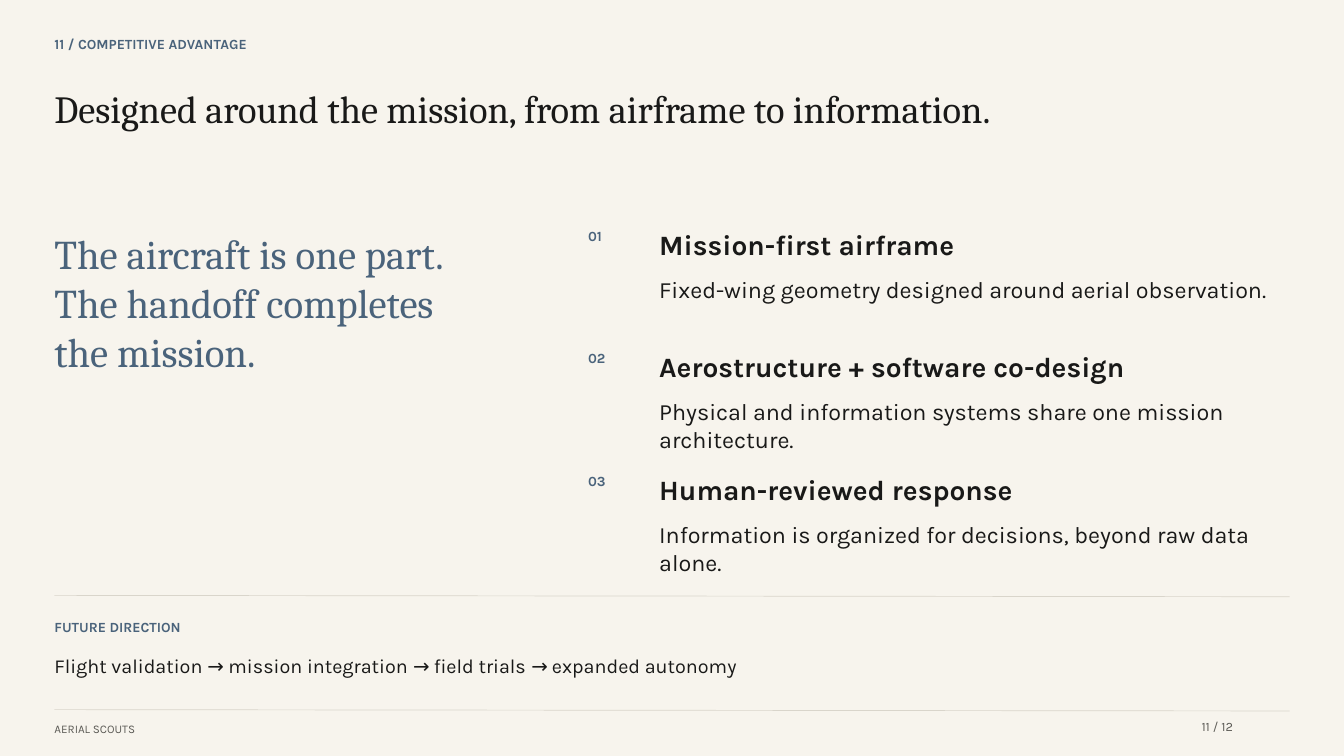
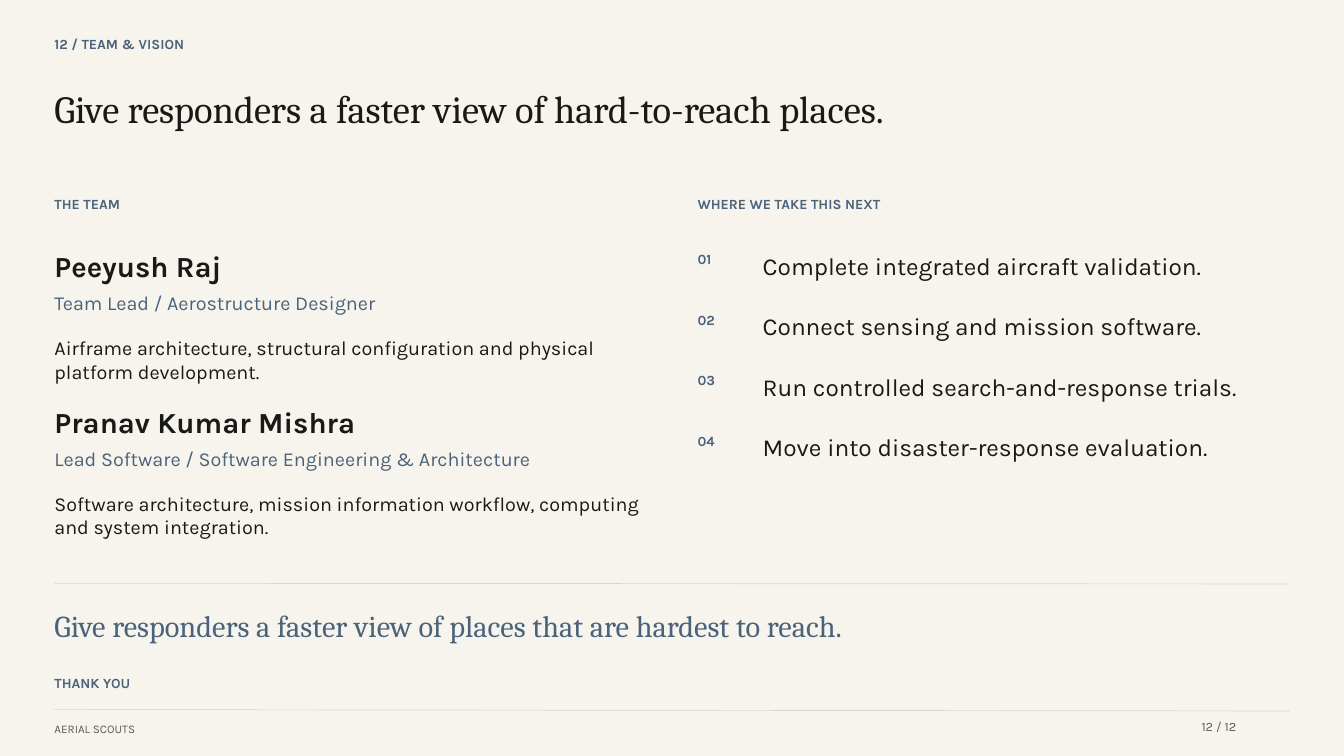
"""Build the competitive advantage and team slides."""
from dataclasses import dataclass

from lxml.etree import SubElement
from pptx import Presentation
from pptx.dml.color import RGBColor as Color
from pptx.enum.shapes import MSO_CONNECTOR as Connector
from pptx.enum.text import MSO_AUTO_SIZE as AutoSize
from pptx.oxml.ns import qn
from pptx.util import Inches, Pt


@dataclass(frozen=True)
class Style:
    size: float
    leading: float
    color: str
    font: str = "Karla"
    bold: bool = False


class Theme:
    paper, ink, blue, gray, rule = "F7F4ED", "191918", "4A637B", "5B5A55", "D9D5CB"
    serif = "Cambria"
    label = Style(15, 18, blue, bold=True)
    title = Style(41.2, 49.5, ink, serif)
    quote = Style(43.7, 52.5, blue, serif)
    closing = Style(32.5, 39, blue, serif)
    heading = Style(30, 36, ink, bold=True)
    detail = Style(25, 30, ink)
    name = Style(31.2, 37.5, ink, bold=True)
    role = Style(21.2, 25.5, blue)
    body = Style(21.2, 25.5, ink)
    step = Style(26.2, 31.5, ink)
    footer = Style(12.5, 15, gray)
    page = Style(13.7, 16.5, gray)


LEFT, RIGHT = 0.81, 19.19
FULL = RIGHT - LEFT
LABEL_HEIGHT = 0.44
PAGE_COUNT = 12
FOOTER = "AERIAL SCOUTS"

QUOTE = ["The aircraft is one part.", "The handoff completes", "the mission."]
ADVANTAGES = [
    ("Mission-first airframe",
     "Fixed-wing geometry designed around aerial observation."),
    ("Aerostructure + software co-design",
     "Physical and information systems share one mission architecture."),
    ("Human-reviewed response",
     "Information is organized for decisions, beyond raw data alone."),
]
FUTURE = "Flight validation → mission integration → field trials → expanded autonomy"
TEAM = [
    ("Peeyush Raj", "Team Lead / Aerostructure Designer",
     "Airframe architecture, structural configuration and physical platform development."),
    ("Pranav Kumar Mishra", "Lead Software / Software Engineering & Architecture",
     "Software architecture, mission information workflow, computing and system integration."),
]
NEXT_STEPS = [
    "Complete integrated aircraft validation.",
    "Connect sensing and mission software.",
    "Run controlled search-and-response trials.",
    "Move into disaster-response evaluation.",
]
CLOSING = "Give responders a faster view of places that are hardest to reach."


def add_text(page, lines, left, top, width, height, style):
    box = page.shapes.add_textbox(Inches(left), Inches(top), Inches(width), Inches(height))
    frame = box.text_frame
    frame.word_wrap = True
    frame.auto_size = AutoSize.SHAPE_TO_FIT_TEXT
    frame.margin_left = frame.margin_top = frame.margin_right = frame.margin_bottom = 0
    for index, line in enumerate([lines] if isinstance(lines, str) else lines):
        para = frame.add_paragraph() if index else frame.paragraphs[0]
        para.line_spacing = Pt(style.leading)
        span = para.add_run()
        span.text = line
        span.font.name = style.font
        span.font.size = Pt(style.size)
        span.font.bold = style.bold
        span.font.color.rgb = Color.from_string(style.color)


def add_label(page, words, top, left=LEFT, width=17.5):
    add_text(page, words, left, top, width, LABEL_HEIGHT, Theme.label)


def add_rule(page, top, drop=0.02):
    rule = page.shapes.add_connector(
        Connector.STRAIGHT, Inches(LEFT), Inches(top), Inches(RIGHT), Inches(top + drop))
    rule.line.color.rgb = Color.from_string(Theme.rule)
    rule.line.width = Pt(0.75)
    SubElement(rule._element.spPr, qn("a:effectLst"))


def add_page(deck, number, section, title):
    page = deck.slides.add_slide(deck.slide_layouts[6])
    page.background.fill.solid()
    page.background.fill.fore_color.rgb = Color.from_string(Theme.paper)
    add_label(page, f"{number} / {section}", 0.53)
    add_text(page, title, LEFT, 1.26, FULL, 1.34, Theme.title)
    add_rule(page, 10.56)
    add_text(page, FOOTER, LEFT, 10.74, 15, 0.26, Theme.footer)
    add_text(page, f"{number} / {PAGE_COUNT}", 17.88, 10.7, 1.31, 0.32, Theme.page)
    return page


def add_advantage_page(deck):
    page = add_page(deck, 11, "COMPETITIVE ADVANTAGE",
                    "Designed around the mission, from airframe to information.")
    add_text(page, QUOTE, LEFT, 3.41, 7.5, 3.89, Theme.quote)
    for index, (heading, detail) in enumerate(ADVANTAGES):
        top = 3.38 + index * 7.3 / 4
        add_label(page, f"{index + 1:02}", top, 8.75, 0.88)
        add_text(page, heading, 9.81, top, 9.38, 0.76, Theme.heading)
        add_text(page, detail, 9.81, top + 0.71, 9.38, 0.9, Theme.detail)
    add_rule(page, 8.86)
    add_label(page, "FUTURE DIRECTION", 9.2)
    add_text(page, FUTURE, LEFT, 9.73, FULL, 0.41, Theme.body)


def add_team_page(deck):
    page = add_page(deck, 12, "TEAM & VISION",
                    "Give responders a faster view of hard-to-reach places.")
    add_label(page, "THE TEAM", 2.91, width=8.88)
    for index, (name, role, work) in enumerate(TEAM):
        top = 3.7 + index * 2.31
        add_text(page, name, LEFT, top, 8.75, 0.5, Theme.name)
        add_text(page, role, LEFT, top + 0.63, 8.75, 0.7, Theme.role)
        add_text(page, work, LEFT, top + 1.3, 8.75, 0.72, Theme.body)
    add_label(page, "WHERE WE TAKE THIS NEXT", 2.91, 10.38, 8.75)
    for index, step in enumerate(NEXT_STEPS):
        top = 3.73 + index * 0.9
        add_label(page, f"{index + 1:02}", top, 10.38, 0.75)
        add_text(page, step, 11.35, top, 7.81, 0.7, Theme.step)
    add_rule(page, 8.68, 0.01)
    add_text(page, CLOSING, LEFT, 9.04, FULL, 0.82, Theme.closing)
    add_label(page, "THANK YOU", 10.04)


def main():
    deck = Presentation()
    deck.slide_width, deck.slide_height = Inches(20), Inches(11.25)
    add_advantage_page(deck)
    add_team_page(deck)
    deck.save("out.pptx")


if __name__ == "__main__":
    main()
